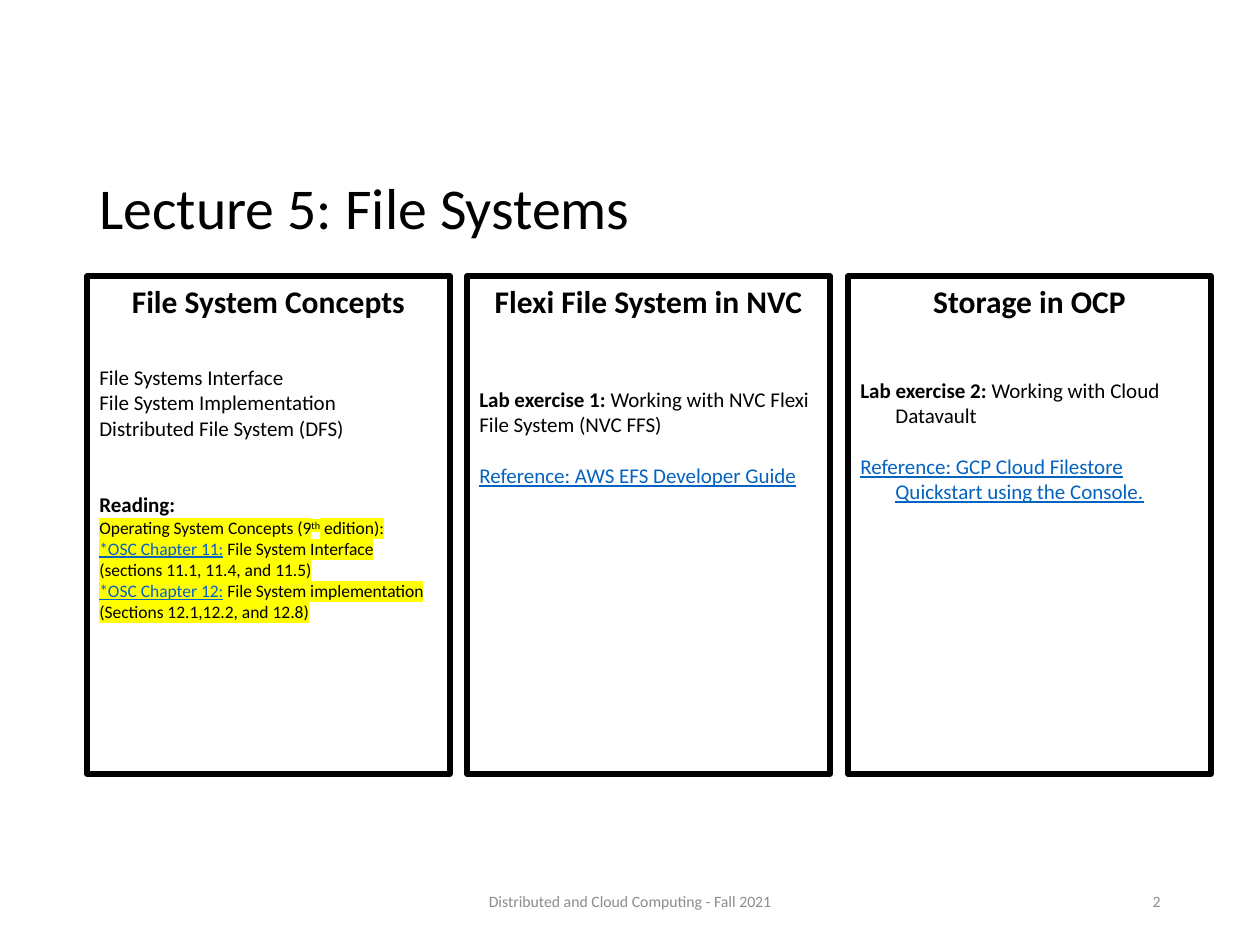
from dataclasses import dataclass

from lxml import etree
from pptx import Presentation
from pptx.dml.color import RGBColor
from pptx.enum.shapes import MSO_SHAPE
from pptx.enum.text import MSO_ANCHOR, MSO_AUTO_SIZE, PP_ALIGN
from pptx.oxml.ns import qn
from pptx.util import Emu, Pt

LEFT, CENTER, RIGHT = PP_ALIGN.LEFT, PP_ALIGN.CENTER, PP_ALIGN.RIGHT
TOP, MIDDLE = MSO_ANCHOR.TOP, MSO_ANCHOR.MIDDLE
GROW, FIXED = MSO_AUTO_SIZE.SHAPE_TO_FIT_TEXT, MSO_AUTO_SIZE.NONE
RECTANGLE = MSO_SHAPE.RECTANGLE
EMU_PER_PX = 914400 / 126


@dataclass(frozen=True)
class Theme:
    font: str = "Calibri"
    ink: str = "000000"
    link: str = "0563C1"
    muted: str = "8C8C8C"
    marker: str = "FFFF00"
    title_size: int = 33
    heading_size: int = 18
    body_size: int = 12
    reading_size: int = 10
    footer_size: int = 9
    frame_width: int = 3


THEME = Theme()


def px(length):
    return Emu(round(length * EMU_PER_PX))


class SlideBuilder:
    """Holds the theme and the current slide; one method per kind of element."""

    def __init__(self, slide, theme):
        self.slide = slide
        self.theme = theme

    def add_run(self, paragraph, text, size, color=None, highlight=None,
                baseline=None, **font_values):
        run = paragraph.add_run()
        run.text = text
        values = {"name": self.theme.font, "size": Pt(size), "bold": False, **font_values}
        for name, value in values.items():
            setattr(run.font, name, value)
        run.font.color.rgb = RGBColor.from_string(color or self.theme.ink)
        properties = run.font._element
        if highlight:
            mark = etree.Element(qn("a:highlight"))
            etree.SubElement(mark, qn("a:srgbClr"), val=highlight)
            properties.find(qn("a:solidFill")).addnext(mark)
        if baseline:
            properties.set("baseline", str(baseline * 1000))

    def fill_paragraph(self, paragraph, runs, align=LEFT, before=0, hanging=0, line=1.0):
        values = {"alignment": align, "line_spacing": line}
        if before:
            values["space_before"] = Pt(before)
        for name, value in values.items():
            setattr(paragraph, name, value)
        if hanging:
            properties = paragraph._p.get_or_add_pPr()
            properties.set("marL", str(px(hanging)))
            properties.set("indent", str(-px(hanging)))
        for text, style in runs:
            self.add_run(paragraph, text, **style)

    def title(self, text, left, top, width, height):
        shape = self.slide.shapes.title
        box = {"left": left, "top": top, "width": width, "height": height}
        for name, value in box.items():
            setattr(shape, name, px(value))
        shape.text_frame.vertical_anchor = MIDDLE
        style = {"size": self.theme.title_size}
        self.fill_paragraph(shape.text_frame.paragraphs[0], [(text, style)], line=0.9)

    def text(self, paragraphs, left, top, width, height, anchor=TOP, fit=FIXED):
        shape = self.slide.shapes.add_textbox(px(left), px(top), px(width), px(height))
        frame = shape.text_frame
        values = {"word_wrap": True, "vertical_anchor": anchor, "auto_size": fit}
        for name, value in values.items():
            setattr(frame, name, value)
        for index, (runs, layout) in enumerate(paragraphs):
            paragraph = frame.add_paragraph() if index else frame.paragraphs[0]
            self.fill_paragraph(paragraph, runs, **layout)

    def frame(self, left, top, width, height):
        shape = self.slide.shapes.add_shape(
            RECTANGLE, px(left), px(top), px(width), px(height))
        shape.shadow.inherit = False
        shape.fill.background()
        shape.line.color.rgb = RGBColor.from_string(self.theme.ink)
        shape.line.width = Pt(self.theme.frame_width)


# Text styles
HEADING = {"size": THEME.heading_size, "bold": True}
BODY = {"size": THEME.body_size}
STRONG = {**BODY, "bold": True}
LINK = {**BODY, "color": THEME.link, "underline": True}
MARKED = {"size": THEME.reading_size, "highlight": THEME.marker}
MARKED_LINK = {**MARKED, "color": THEME.link, "underline": True}
FOOTER = {"size": THEME.footer_size, "color": THEME.muted}
HANGING = 35

# Column contents: heading, text height, body paragraphs
COLUMNS = [
    ("File System Concepts", 354, [
        ([("File Systems Interface", BODY)], {"before": 25.6}),
        ([("File System Implementation", BODY)], {}),
        ([("Distributed File System (DFS)", BODY)], {}),
        ([("Reading:", STRONG)], {"before": 29.3}),
        ([("Operating System Concepts (9", MARKED),
          ("th", {**MARKED, "baseline": 30}),
          (" edition):", MARKED)], {}),
        ([("*OSC Chapter 11:", MARKED_LINK),
          (" File System Interface (sections 11.1, 11.4, and 11.5)", MARKED)], {}),
        ([("*OSC Chapter 12:", MARKED_LINK),
          (" File System implementation (Sections 12.1,12.2, and 12.8)", MARKED)], {}),
    ]),
    ("Flexi File System in NVC", 272, [
        ([("Lab exercise 1: ", STRONG),
          ("Working with NVC Flexi File System (NVC FFS)", BODY)], {"before": 38}),
        ([("Reference: AWS EFS Developer Guide", LINK)], {"before": 14.6}),
    ]),
    ("Storage in OCP", 292, [
        ([("Lab exercise 2:", STRONG), (" Working with Cloud Datavault", BODY)],
         {"before": 33, "hanging": HANGING}),
        ([("Reference: GCP Cloud Filestore Quickstart using the Console.", LINK)],
         {"before": 14.6, "hanging": HANGING}),
    ]),
]
COLUMN_LEFT, COLUMN_TOP, COLUMN_WIDTH, COLUMN_HEIGHT = 87, 276, 363, 498
TWO_COLUMN_PITCH = 761


def main():
    presentation = Presentation()
    presentation.slide_width, presentation.slide_height = px(1260), px(945)
    slide = presentation.slides.add_slide(presentation.slide_layouts[5])
    builder = SlideBuilder(slide, THEME)

    builder.title("Lecture 5: File Systems", 87, 142, 1086, 137)

    # Column texts, then the frames over them
    lefts = [COLUMN_LEFT + index * TWO_COLUMN_PITCH // 2 for index in range(len(COLUMNS))]
    for left, (heading, height, body) in zip(lefts, COLUMNS):
        paragraphs = [([(heading, HEADING)], {"align": CENTER}), *body]
        builder.text(paragraphs, left, COLUMN_TOP, COLUMN_WIDTH, height, fit=GROW)
    for left in lefts:
        builder.frame(left, COLUMN_TOP, COLUMN_WIDTH, COLUMN_HEIGHT)

    # Footer and slide number
    for text, align, left, width in [
        ("Distributed and Cloud Computing - Fall 2021", CENTER, 417, 426),
        ("2", RIGHT, 890, 283),
    ]:
        builder.text([([(text, FOOTER)], {"align": align})], left, 876, width, 50, MIDDLE)

    presentation.save("out.pptx")


if __name__ == "__main__":
    main()
